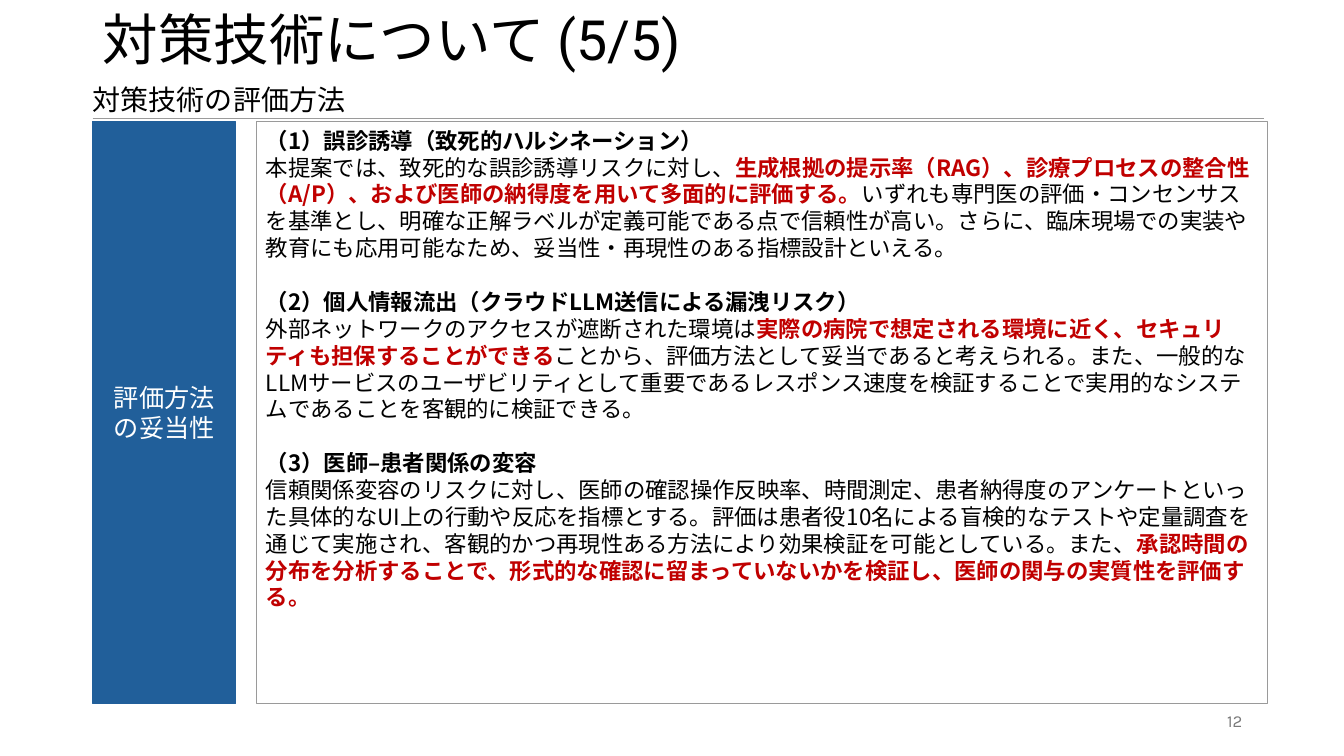
from lxml.etree import SubElement
from pptx import Presentation
from pptx.dml.color import RGBColor
from pptx.enum.lang import MSO_LANGUAGE_ID as Language
from pptx.enum.shapes import MSO_CONNECTOR as Connector, MSO_SHAPE as Shape
from pptx.enum.text import MSO_ANCHOR as Anchor, PP_ALIGN as Align
from pptx.oxml.ns import qn
from pptx.util import Inches, Pt

BLACK, WHITE, RED = "000000", "FFFFFF", "C00000"
BLUE, RULE_GRAY, NUMBER_GRAY = "215F9A", "9A9A9A", "797979"
LEFT, PANEL_TOP, PANEL_HEIGHT = 0.92, 1.21, 5.77
LINE_PITCH = 19.2

# Each section: heading, then body runs as (text, emphasised)
SECTIONS = [
    ("（1）誤診誘導（致死的ハルシネーション）", [
        ("本提案では、致死的な誤診誘導リスクに対し、", False),
        ("生成根拠の提示率（RAG）、診療プロセスの整合性（A/P）、および医師の納得度を用いて多面的に評価する。", True),
        ("いずれも専門医の評価・コンセンサスを基準とし、明確な正解ラベルが定義可能である点で信頼性が高い。"
         "さらに、臨床現場での実装や教育にも応用可能なため、妥当性・再現性のある指標設計といえる。", False),
    ]),
    ("（2）個人情報流出（クラウドLLM送信による漏洩リスク）", [
        ("外部ネットワークのアクセスが遮断された環境は", False),
        ("実際の病院で想定される環境に近く、セキュリティも担保することができる", True),
        ("ことから、評価方法として妥当であると考えられる。また、一般的なLLMサービスのユーザビリティとして"
         "重要であるレスポンス速度を検証することで実用的なシステムであることを客観的に検証できる。", False),
    ]),
    ("（3）医師–患者関係の変容", [
        ("信頼関係変容のリスクに対し、医師の確認操作反映率、時間測定、患者納得度のアンケートといった"
         "具体的なUI上の行動や反応を指標とする。評価は患者役10名による盲検的なテストや定量調査を通じて"
         "実施され、客観的かつ再現性ある方法により効果検証を可能としている。また、", False),
        ("承認時間の分布を分析することで、形式的な確認に留まっていないかを検証し、医師の関与の実質性を評価する。", True),
    ]),
]


def color(value):
    return RGBColor.from_string(value)


class PageBuilder:
    heading_font = "Roboto"
    asian_font = "Noto Sans CJK JP"
    line_width = Pt(0.75)

    def __init__(self, page):
        self.page = page

    def span(self, para, text, size, ink=BLACK, font=None, bold=False):
        run = para.add_run()
        run.text = text
        run.font.size = Pt(size)
        run.font.bold = bold
        run.font.color.rgb = color(ink)
        run.font.name = font or self.heading_font
        run.font.language_id = Language.JAPANESE
        SubElement(run.font._element, qn("a:ea"), typeface=self.asian_font)

    def text(self, bounds, text, size, ink=BLACK, font=None,
             anchor=Anchor.MIDDLE, align=Align.LEFT, inset=True):
        box = self.page.shapes.add_textbox(*map(Inches, bounds))
        frame = box.text_frame
        frame.word_wrap = True
        frame.vertical_anchor = anchor
        if not inset:
            frame.margin_left = frame.margin_right = 0
            frame.margin_top = frame.margin_bottom = 0
        para = frame.paragraphs[0]
        para.alignment = align
        self.span(para, text, size, ink, font)
        return para

    def panel(self, bounds, line, fill=None, anchor=Anchor.TOP):
        box = self.page.shapes.add_shape(Shape.RECTANGLE, *map(Inches, bounds))
        box.shadow.inherit = False
        if fill:
            box.fill.solid()
            box.fill.fore_color.rgb = color(fill)
        else:
            box.fill.background()
        box.line.color.rgb = color(line)
        box.line.width = self.line_width
        box.text_frame.word_wrap = True
        box.text_frame.vertical_anchor = anchor
        return box.text_frame

    def rule(self, left, right, top):
        line = self.page.shapes.add_connector(
            Connector.STRAIGHT, Inches(left), Inches(top), Inches(right), Inches(top))
        line.line.color.rgb = color(RULE_GRAY)
        line.line.width = self.line_width
        SubElement(line._element.spPr, qn("a:effectLst"))

    def sections(self, frame, sections):
        para = frame.paragraphs[0]
        for index, (heading, body) in enumerate(sections):
            if index:
                para = frame.add_paragraph()
                para.space_before = Pt(LINE_PITCH)
            self.span(para, heading, 16, font=self.asian_font, bold=True)
            self.set_lines(para)
            para = frame.add_paragraph()
            for text, strong in body:
                self.span(para, text, 16, RED if strong else BLACK,
                          self.asian_font, strong)
            self.set_lines(para)

    def set_lines(self, para):
        para.alignment = Align.LEFT
        para.line_spacing = Pt(LINE_PITCH)


def main():
    deck = Presentation()
    deck.slide_width, deck.slide_height = Inches(13.33), Inches(7.5)
    builder = PageBuilder(deck.slides.add_slide(deck.slide_layouts[6]))

    # Page number and title
    builder.text((9.42, 6.95, 3, 0.4), "12", 12, NUMBER_GRAY, "Karla", align=Align.RIGHT)
    title = builder.text((LEFT, 0.06, 11.5, 0.73), "対策技術について (5/5)", 39.6)
    title.line_spacing = 0.9

    # Subtitle with its rule
    builder.text((LEFT, 0.81, 10.55, 0.34), "対策技術の評価方法", 20,
                 anchor=Anchor.BOTTOM, inset=False)
    builder.rule(LEFT, 12.54, 1.18)

    # Evaluation text
    frame = builder.panel((2.54, PANEL_TOP, 10.03, PANEL_HEIGHT), RULE_GRAY)
    builder.sections(frame, SECTIONS)

    # Side label
    label = builder.panel((LEFT, PANEL_TOP, 1.42, PANEL_HEIGHT), BLUE, BLUE, Anchor.MIDDLE)
    label.paragraphs[0].alignment = Align.CENTER
    builder.span(label.paragraphs[0], "評価方法の妥当性", 18, WHITE)

    deck.save("out.pptx")


if __name__ == "__main__":
    main()
